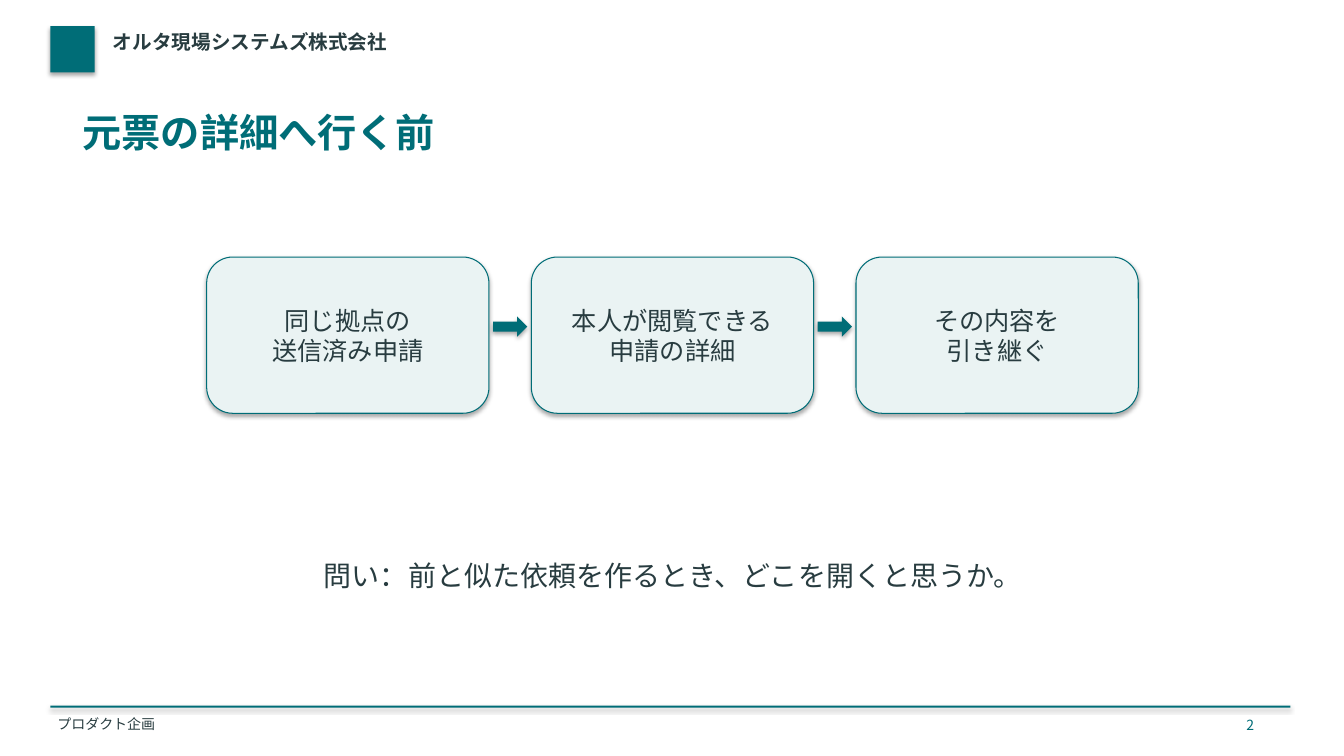
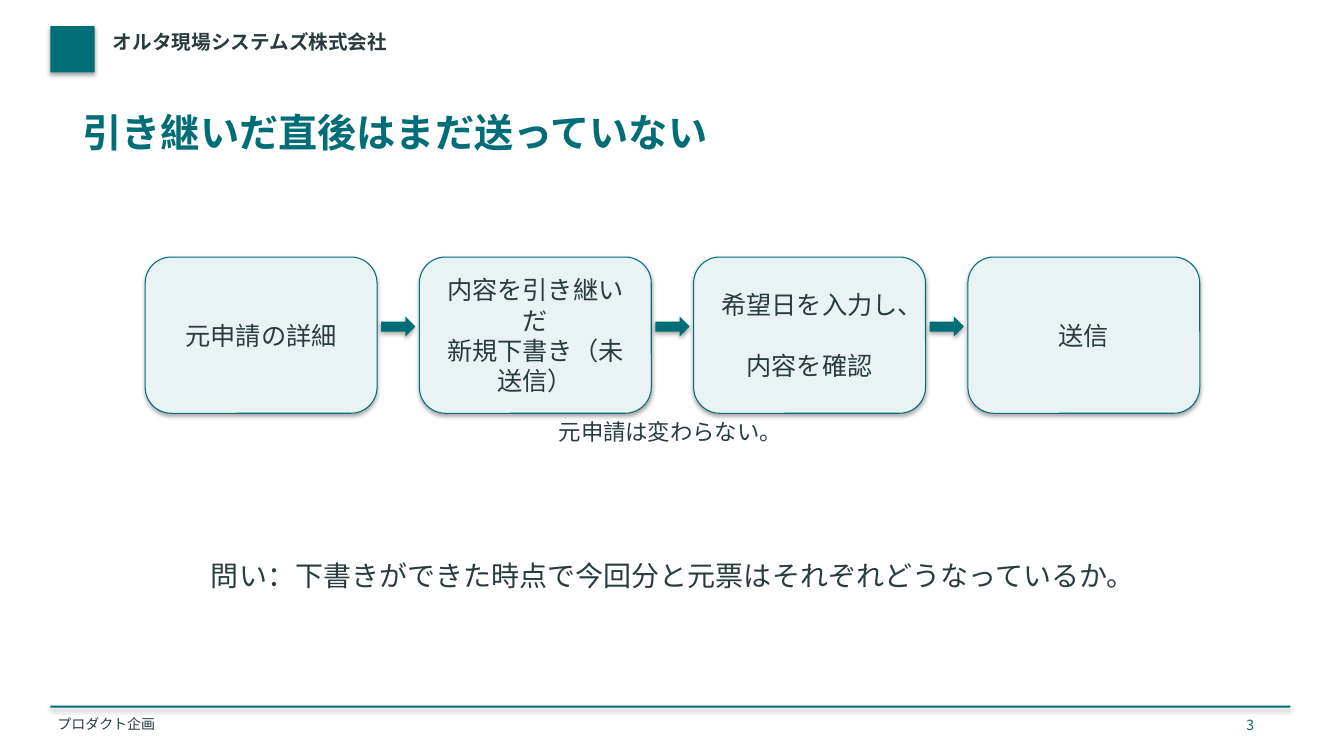
"""Build two slides that explain how an earlier request is carried over."""
from dataclasses import dataclass

import lxml.etree
import pptx
import pptx.dml.color
import pptx.enum.shapes
import pptx.enum.text
import pptx.oxml.ns
import pptx.util

SHAPE = pptx.enum.shapes.MSO_SHAPE
ALIGN = pptx.enum.text.PP_ALIGN
ANCHOR = pptx.enum.text.MSO_ANCHOR
FIT = pptx.enum.text.MSO_AUTO_SIZE
EMU_PER_PX = 9144


@dataclass(frozen=True)
class Theme:
    """Colours, font, type sizes and text insets of the deck."""
    teal: str = "006D77"
    pale: str = "EAF3F3"
    ink: str = "283C40"
    font: str = "Noto Sans CJK JP"
    title: int = 28
    question: int = 20
    step: int = 18
    note: int = 16
    company: int = 14
    footer: int = 10
    tight: tuple = (2, 2)
    roomy: tuple = (12, 5)


THEME = Theme()

SLIDES = [
    dict(
        number=2,
        title="元票の詳細へ行く前",
        steps=["同じ拠点の\n送信済み申請", "本人が閲覧できる\n申請の詳細", "その内容を\n引き継ぐ"],
        step_width=280,
        note=None,
        question="問い：前と似た依頼を作るとき、どこを開くと思うか。",
    ),
    dict(
        number=3,
        title="引き継いだ直後はまだ送っていない",
        steps=["元申請の詳細", "内容を引き継いだ\n新規下書き（未送信）",
               "希望日を入力し、\n内容を確認", "送信"],
        step_width=230,
        note="元申請は変わらない。",
        question="問い：下書きができた時点で今回分と元票はそれぞれどうなっているか。",
    ),
]


def px(n):
    """Turn px into EMU."""
    return pptx.util.Emu(n * EMU_PER_PX)


def rgb(color):
    """Turn a hex string into a colour."""
    return pptx.dml.color.RGBColor.from_string(color)


def write(tf, text, size, color=THEME.ink, bold=False, centred=True):
    """Fill a text frame with one paragraph, breaking it at newlines."""
    inset_x, inset_y = THEME.roomy if centred else THEME.tight
    tf.margin_left = tf.margin_right = px(inset_x)
    tf.margin_top = tf.margin_bottom = px(inset_y)
    tf.word_wrap = True
    tf.vertical_anchor = ANCHOR.MIDDLE if centred else ANCHOR.TOP
    p = tf.paragraphs[0]
    p.alignment = ALIGN.CENTER if centred else ALIGN.LEFT
    for i, line in enumerate(text.split("\n")):
        if i:
            p.add_line_break()
        r = p.add_run()
        r.text = line
        r.font.size = pptx.util.Pt(size)
        r.font.bold = bold
        r.font.color.rgb = rgb(color)
        r.font.name = THEME.font
        ea = lxml.etree.Element(pptx.oxml.ns.qn("a:ea"), typeface=THEME.font)
        r.font._element.find(pptx.oxml.ns.qn("a:latin")).addnext(ea)


def add_text(slide, box, text, size, **style):
    """Add a text box that grows with its text."""
    sp = slide.shapes.add_textbox(*map(px, box))
    write(sp.text_frame, text, size, **style)
    sp.text_frame.auto_size = FIT.SHAPE_TO_FIT_TEXT
    return sp


def add_block(slide, kind, box, fill=THEME.teal, line=None):
    """Add a filled preset shape with the soft shadow of the theme."""
    sp = slide.shapes.add_shape(kind, *map(px, box))
    sp.fill.solid()
    sp.fill.fore_color.rgb = rgb(fill)
    if line:
        sp.line.color.rgb = rgb(line)
        sp.line.width = pptx.util.Pt(0.75)
    else:
        sp.line.fill.background()
    return sp


def share_frame(layout, slide):
    """Draw the header and footer once and move them into the layout."""
    for ph in list(layout.placeholders):
        if ph.placeholder_format.type != pptx.enum.shapes.PP_PLACEHOLDER.TITLE:
            ph.element.getparent().remove(ph.element)
    parts = [
        add_block(slide, SHAPE.RECTANGLE, (50, 26, 44, 46)),
        add_text(slide, (110, 28, 1000, 40), "オルタ現場システムズ株式会社",
                 THEME.company, bold=True, centred=False),
        add_block(slide, SHAPE.RECTANGLE, (50, 700, 1230, 2)),
        add_text(slide, (55, 708, 900, 22), "プロダクト企画", THEME.footer, centred=False),
    ]
    for sp in parts:
        layout.shapes.element.append(sp.element)


def add_title(slide, box, text):
    """Place and format the title placeholder."""
    sp = slide.shapes.title
    sp.left, sp.top, sp.width, sp.height = map(px, box)
    write(sp.text_frame, text, THEME.title, color=THEME.teal, bold=True, centred=False)
    sp.text_frame.auto_size = FIT.SHAPE_TO_FIT_TEXT


def add_flow(slide, box, steps, step_width):
    """Centre a row of steps in the box, with an arrow in each gap."""
    left, top, width, height = box
    gap, arrow_width, arrow_height, arrow_drop = 42, 34, 20, 59
    pitch = step_width + gap
    start = left + (width - len(steps) * pitch + gap) // 2
    for i, step in enumerate(steps):
        x = start + i * pitch
        if i:
            arrow_x = x - (gap + arrow_width) // 2
            add_block(slide, SHAPE.RIGHT_ARROW,
                      (arrow_x, top + arrow_drop, arrow_width, arrow_height))
        sp = add_block(slide, SHAPE.ROUNDED_RECTANGLE, (x, top, step_width, height),
                       fill=THEME.pale, line=THEME.teal)
        write(sp.text_frame, step, THEME.step)


def fill_slide(slide, number, title, steps, step_width, note, question):
    """Place the title, flow, note, question and page number."""
    add_title(slide, (80, 105, 1170, 75), title)
    add_flow(slide, (95, 255, 1145, 155), steps, step_width)
    if note:
        add_text(slide, (380, 408, 570, 40), note, THEME.note)
    add_text(slide, (95, 528, 1145, 85), question, THEME.question)
    add_text(slide, (1215, 708, 50, 22), str(number), THEME.footer, color=THEME.teal)


def main():
    """Build and save the deck."""
    prs = pptx.Presentation()
    prs.slide_width, prs.slide_height = px(1333), px(750)
    layout = prs.slide_layouts.get_by_name("Title Only")
    for i, content in enumerate(SLIDES):
        slide = prs.slides.add_slide(layout)
        if i == 0:
            share_frame(layout, slide)
        fill_slide(slide, **content)
    prs.save("out.pptx")


if __name__ == "__main__":
    main()
